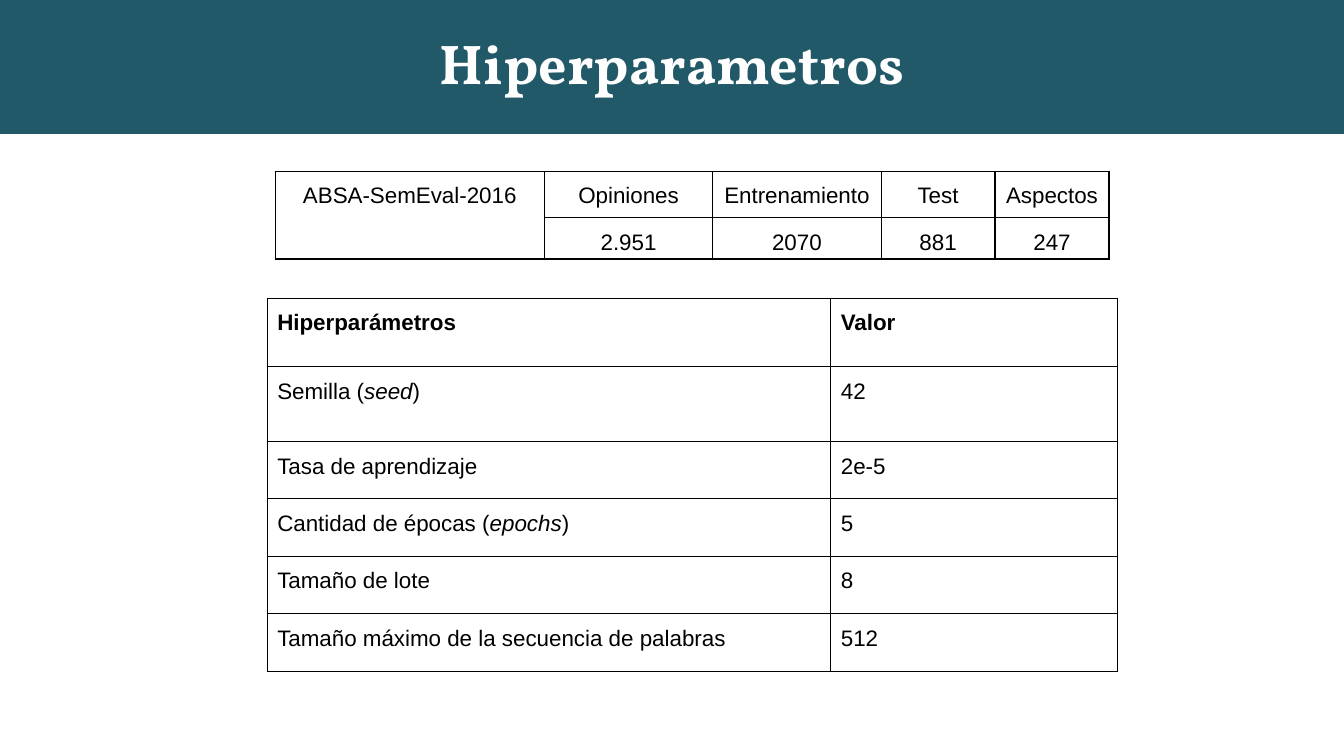
from dataclasses import dataclass

from lxml import etree
from pptx import Presentation
from pptx import util as u
from pptx.dml.color import RGBColor
from pptx.enum import shapes, text
from pptx.oxml import ns

TEAL = RGBColor(0x21, 0x59, 0x68)
WHITE = RGBColor(0xFF, 0xFF, 0xFF)
BLACK = RGBColor(0x00, 0x00, 0x00)
TITLE_ONLY = 5


@dataclass(frozen=True)
class Grid:
    """A bordered table; text between asterisks is italic. Lengths in inches."""
    left: float
    top: float
    widths: list[float]
    heights: list[float]
    rows: list[list[str]]
    align: text.PP_ALIGN
    margin: float
    space_before: int = 0
    bold_header: bool = False
    merge_first_column: bool = False


DATASET = Grid(
    left=2.73, top=1.7,
    widths=[2.67, 1.67, 1.67, 1.13, 1.13],
    heights=[0.46, 0.41],
    rows=[
        ["ABSA-SemEval-2016", "Opiniones", "Entrenamiento", "Test", "Aspectos"],
        ["", "2.951", "2070", "881", "247"],
    ],
    align=text.PP_ALIGN.CENTER, margin=0.07, space_before=12,
    merge_first_column=True,
)

HYPERPARAMETERS = Grid(
    left=2.65, top=2.96,
    widths=[5.59, 2.84],
    heights=[0.68, 0.74] + [0.57] * 4,
    rows=[
        ["Hiperparámetros", "Valor"],
        ["Semilla (*seed*)", "42"],
        ["Tasa de aprendizaje", "2e-5"],
        ["Cantidad de épocas (*epochs*)", "5"],
        ["Tamaño de lote", "8"],
        ["Tamaño máximo de la secuencia de palabras", "512"],
    ],
    align=text.PP_ALIGN.JUSTIFY, margin=0.1, bold_header=True,
)


def add_borders(cell) -> None:
    properties = cell._tc.get_or_add_tcPr()
    for side in ("a:lnL", "a:lnR", "a:lnT", "a:lnB"):
        line = etree.SubElement(properties, ns.qn(side), w=str(u.Pt(1)))
        fill = etree.SubElement(line, ns.qn("a:solidFill"))
        etree.SubElement(fill, ns.qn("a:srgbClr"), val=str(BLACK))


def write_cell(cell, content: str, grid: Grid, bold: bool) -> None:
    cell.margin_left = cell.margin_right = u.Inches(grid.margin)
    cell.margin_top = cell.margin_bottom = 0
    para = cell.text_frame.paragraphs[0]
    para.alignment = grid.align
    para.line_spacing = 1.5
    para.space_before = u.Pt(grid.space_before)
    para.font.name = "Arial"
    para.font.size = u.Pt(16)
    para.font.bold = bold
    para.font.color.rgb = BLACK
    for index, piece in enumerate(content.split("*")):
        if piece:
            span = para.add_run()
            span.text = piece
            if index % 2:
                span.font.italic = True


def add_grid(page, grid: Grid) -> None:
    frame = page.shapes.add_table(
        len(grid.rows), len(grid.widths),
        u.Inches(grid.left), u.Inches(grid.top),
        u.Inches(sum(grid.widths)), u.Inches(sum(grid.heights)))
    table = frame.table
    table.first_row = table.horz_banding = False
    for column, width in zip(table.columns, grid.widths):
        column.width = u.Inches(width)
    for row, height in zip(table.rows, grid.heights):
        row.height = u.Inches(height)
    for r, contents in enumerate(grid.rows):
        for c, content in enumerate(contents):
            cell = table.cell(r, c)
            add_borders(cell)
            cell.fill.background()
            write_cell(cell, content, grid, bold=grid.bold_header and r == 0)
    if grid.merge_first_column:
        table.cell(0, 0).merge(table.cell(len(grid.rows) - 1, 0))


def add_header(page, heading: str, width: u.Length) -> None:
    """Place the title over a full-width colour band."""
    band = page.shapes.add_shape(
        shapes.MSO_SHAPE.RECTANGLE, 0, 0, width, u.Inches(1.33))
    band.shadow.inherit = False
    band.fill.solid()
    band.fill.fore_color.rgb = TEAL
    band.line.fill.background()

    title = page.shapes.title
    band._element.addnext(title._element)
    title.left, title.top = 0, u.Inches(0.23)
    title.width, title.height = width, u.Inches(0.77)
    title.text = heading
    title.text_frame.auto_size = text.MSO_AUTO_SIZE.NONE
    title.text_frame.vertical_anchor = text.MSO_ANCHOR.TOP
    para = title.text_frame.paragraphs[0]
    para.alignment = text.PP_ALIGN.CENTER
    para.font.name = "Vollkorn"
    para.font.size = u.Pt(40)
    para.font.bold = True
    para.font.color.rgb = WHITE


def main() -> None:
    deck = Presentation()
    deck.slide_width, deck.slide_height = u.Inches(13.33), u.Inches(7.5)
    page = deck.slides.add_slide(deck.slide_layouts[TITLE_ONLY])
    add_header(page, "Hiperparametros", deck.slide_width)
    for grid in (HYPERPARAMETERS, DATASET):
        add_grid(page, grid)
    deck.save("out.pptx")


if __name__ == "__main__":
    main()
